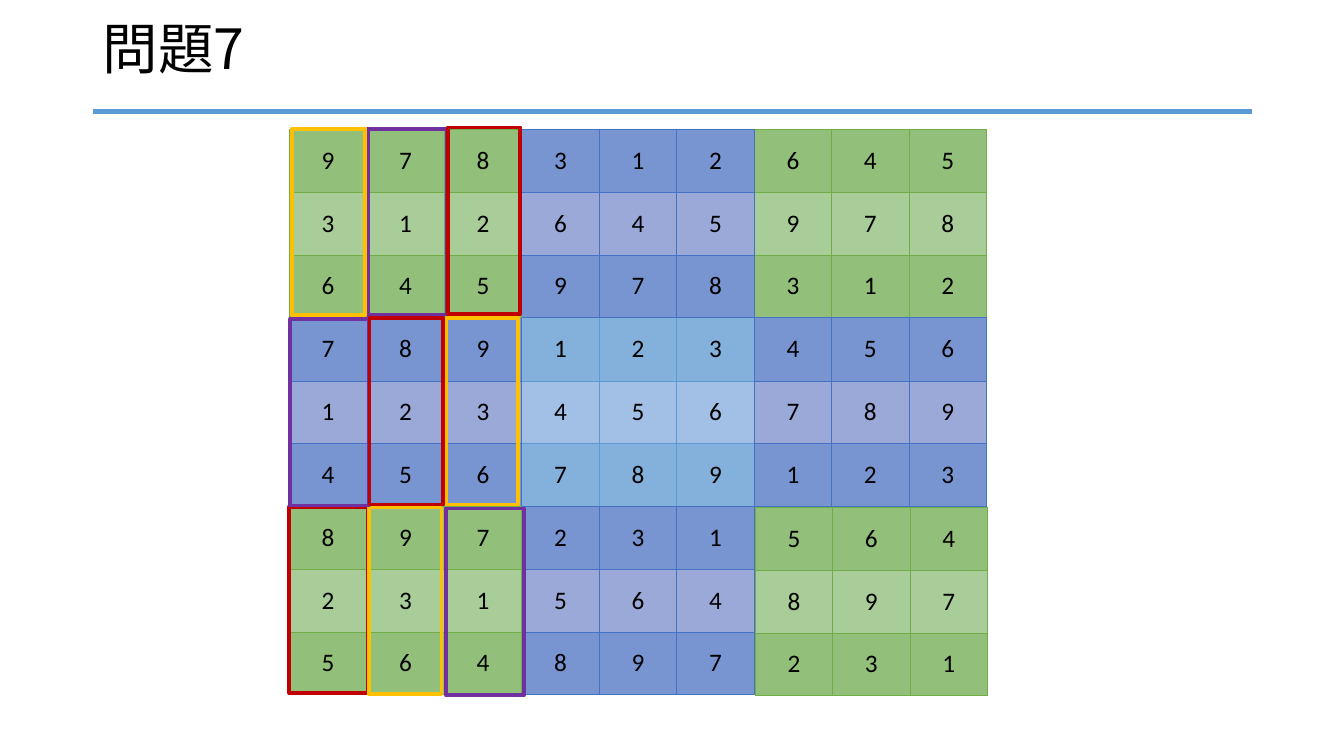
from dataclasses import dataclass
from lxml import etree
from pptx import Presentation
from pptx.dml.color import RGBColor
from pptx.enum import shapes, text
from pptx.oxml import ns
from pptx.util import Inches, Pt


@dataclass(frozen=True)
class Tone:
    line: str
    band: str
    pale: str


@dataclass(frozen=True)
class Theme:
    green: Tone = Tone("70AD47", "92BF79", "A9CD98")
    blue: Tone = Tone("4472C4", "7894D1", "9BA9D9")
    sky: Tone = Tone("5B9BD5", "84B0DC", "A2C0E5")
    ink: str = "000000"
    red: str = "C00000"
    gold: str = "FFC000"
    plum: str = "7030A0"
    head: float = 39.6
    digit: float = 18
    rule: float = 3.75
    frame: float = 2.75
    edge: float = 0.5
    sans: str = "Calibri"
    cjk: str = "Noto Sans CJK JP"


@dataclass(frozen=True)
class Block:
    row: int
    col: int
    tone: Tone
    shift: float = 0


@dataclass(frozen=True)
class Frame:
    mid_x: float
    mid_y: float
    width: float
    color: str


LOOK = Theme()
LEFT, TOP = 2.87, 1.28
WIDE, HIGH = 2.305, 1.87
ROWS = (0.63, 0.62, 0.62)
TALL = 1.85

DIGITS = (
    "978312645",
    "312645978",
    "645978312",
    "789123456",
    "123456789",
    "456789123",
    "897231564",
    "231564897",
    "564897231",
)

# Blocks and frames run from back to front
BLOCKS = (
    Block(1, 1, LOOK.sky),
    Block(0, 2, LOOK.green),
    Block(2, 1, LOOK.blue),
    Block(1, 2, LOOK.blue),
    Block(0, 1, LOOK.blue),
    Block(1, 0, LOOK.blue),
    Block(2, 2, LOOK.green, 0.01),
    Block(2, 0, LOOK.green),
    Block(0, 0, LOOK.green),
)
FRAMES = (
    Frame(3.26, 5.95, 0.78, LOOK.red),
    Frame(4.02, 5.96, 0.72, LOOK.gold),
    Frame(3.27, 4.09, 0.78, LOOK.plum),
    Frame(4.04, 2.2, 0.78, LOOK.plum),
    Frame(4.81, 5.97, 0.78, LOOK.plum),
    Frame(3.26, 2.2, 0.72, LOOK.gold),
    Frame(4.78, 4.08, 0.72, LOOK.gold),
    Frame(4.03, 4.08, 0.73, LOOK.red),
    Frame(4.8, 2.19, 0.72, LOOK.red),
)


def paint(color: str) -> RGBColor:
    return RGBColor.from_string(color)


def add_run(para, words: str, size: float, font: str) -> None:
    run = para.add_run()
    run.text = words
    run.font.size = Pt(size)
    run.font.name = font
    run.font.color.rgb = paint(LOOK.ink)
    east = etree.SubElement(run._r.get_or_add_rPr(), ns.qn("a:ea"))
    east.set("typeface", font)


def add_edge(cell, color: str) -> None:
    props = cell._tc.get_or_add_tcPr()
    for side in ("lnL", "lnR", "lnT", "lnB"):
        line = etree.SubElement(props, ns.qn(f"a:{side}"), w=str(Pt(LOOK.edge)))
        fill = etree.SubElement(line, ns.qn("a:solidFill"))
        etree.SubElement(fill, ns.qn("a:srgbClr"), val=color)


def add_block(slide, block: Block) -> None:
    left = LEFT + block.col * WIDE + block.shift
    top = TOP + block.row * HIGH + block.shift
    table = slide.shapes.add_table(
        3, 3, Inches(left), Inches(top), Inches(WIDE), Inches(HIGH)).table
    table.first_row = table.horz_banding = False
    for r, high in enumerate(ROWS):
        table.rows[r].height = Inches(high)
        for c in range(3):
            cell = table.cell(r, c)
            add_edge(cell, block.tone.line)
            cell.fill.solid()
            cell.fill.fore_color.rgb = paint(
                block.tone.pale if r == 1 else block.tone.band)
            cell.vertical_anchor = text.MSO_ANCHOR.MIDDLE
            para = cell.text_frame.paragraphs[0]
            para.alignment = text.PP_ALIGN.CENTER
            digit = DIGITS[block.row * 3 + r][block.col * 3 + c]
            add_run(para, digit, LOOK.digit, LOOK.sans)


def add_frame(slide, frame: Frame) -> None:
    # A quarter turn swaps the two sides around the centre
    box = slide.shapes.add_shape(
        shapes.MSO_SHAPE.RECTANGLE,
        Inches(frame.mid_x - TALL / 2), Inches(frame.mid_y - frame.width / 2),
        Inches(TALL), Inches(frame.width))
    box.rotation = 270
    box.shadow.inherit = False
    box.fill.background()
    box.line.color.rgb = paint(frame.color)
    box.line.width = Pt(LOOK.frame)


def add_rule(slide) -> None:
    rule = slide.shapes.add_connector(
        shapes.MSO_CONNECTOR.STRAIGHT,
        Inches(0.92), Inches(1.11), Inches(12.42), Inches(1.11))
    rule.line.color.rgb = paint(LOOK.sky.line)
    rule.line.width = Pt(LOOK.rule)
    etree.SubElement(rule._element.spPr, ns.qn("a:effectLst"))


def add_title(slide, words: str) -> None:
    box = slide.shapes.add_textbox(
        Inches(0.92), Inches(0.15), Inches(11.5), Inches(0.73))
    body = box.text_frame
    body.word_wrap = True
    body.vertical_anchor = text.MSO_ANCHOR.MIDDLE
    para = body.paragraphs[0]
    para.line_spacing = 0.9
    add_run(para, words, LOOK.head, LOOK.cjk)


def main() -> None:
    deck = Presentation()
    deck.slide_width, deck.slide_height = Inches(13.33), Inches(7.5)
    slide = deck.slides.add_slide(deck.slide_layouts[6])

    # Heading
    add_rule(slide)
    add_title(slide, "問題7")

    # Number grid
    for block in BLOCKS:
        add_block(slide, block)

    # Column frames
    for frame in FRAMES:
        add_frame(slide, frame)

    deck.save("out.pptx")


main()
